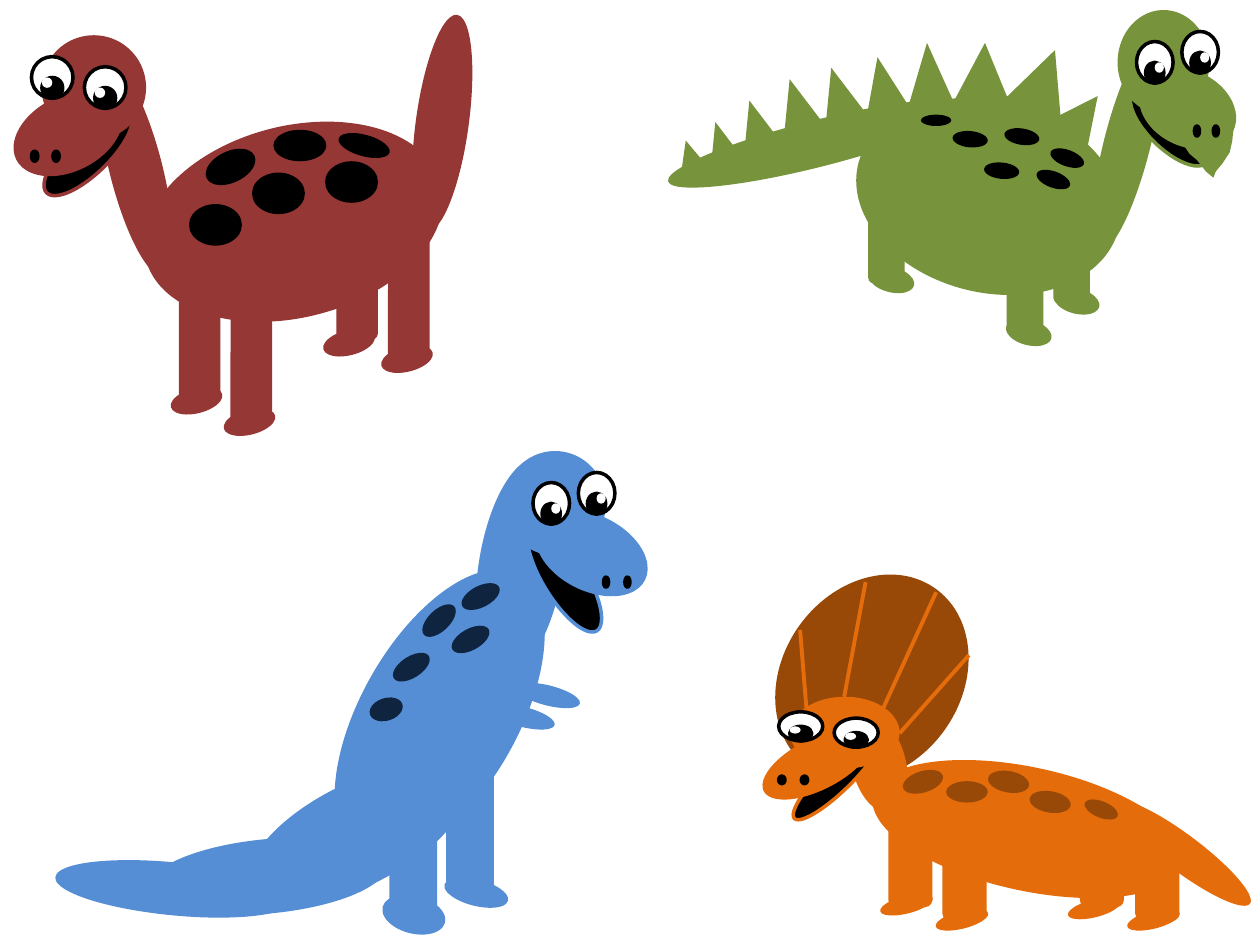
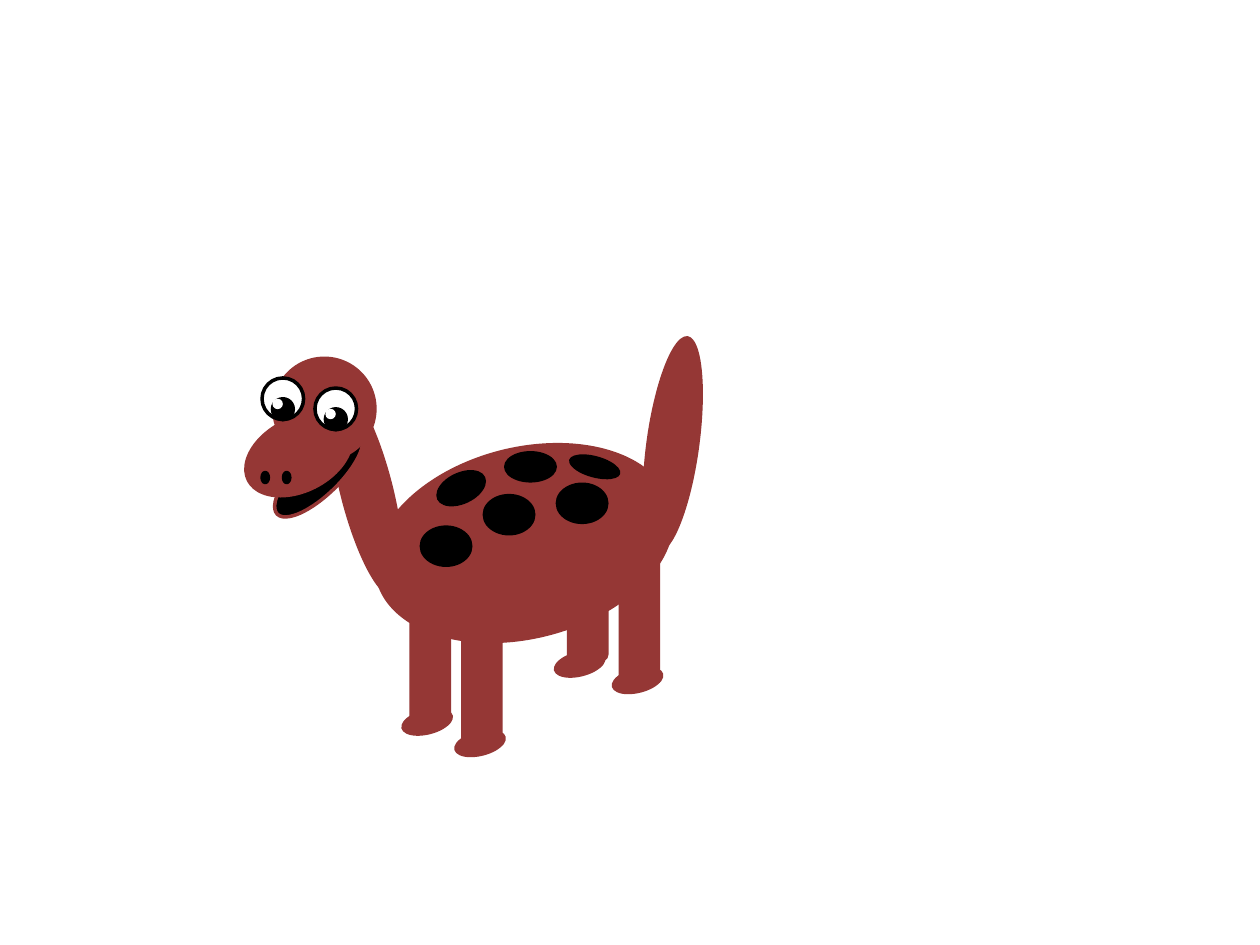
from dataclasses import dataclass
from typing import NamedTuple, Optional

from lxml import etree
from pptx import Presentation
from pptx.dml.color import RGBColor
from pptx.enum.shapes import MSO_CONNECTOR, MSO_SHAPE
from pptx.oxml.ns import qn
from pptx.util import Inches, Pt

ELLIPSE = MSO_SHAPE.OVAL
ROUNDED = MSO_SHAPE.ROUNDED_RECTANGLE
TRIANGLE = MSO_SHAPE.ISOSCELES_TRIANGLE
STRAIGHT = MSO_CONNECTOR.STRAIGHT


@dataclass(frozen=True)
class Theme:
    red: str = "953735"
    green: str = "77933C"
    blue: str = "558ED5"
    navy: str = "0F243E"
    orange: str = "E46C0A"
    brown: str = "984807"
    black: str = "000000"
    white: str = "FFFFFF"
    outline: float = 2
    rib: float = 2.25


THEME = Theme()


class Piece(NamedTuple):
    left: float
    top: float
    width: float
    height: float
    rotation: float = 0


class Rib(NamedTuple):
    start_x: float
    start_y: float
    end_x: float
    end_y: float


Point = tuple[float, float]


def same_size(width: float, height: float, rotation: float, *corners: Point) -> list[Piece]:
    return [Piece(left, top, width, height, rotation) for left, top in corners]


@dataclass(frozen=True)
class Dinosaur:
    skin: str
    spot_color: str
    faces_right: bool
    neck: Piece
    mouth: Piece
    skull: Piece
    snout: Piece
    eyes: list[Piece]
    nostrils: list[Piece]
    body: Piece
    legs: list[Piece]
    feet: list[Piece]
    tail: list[Piece]
    spots: list[Piece]
    arms: tuple[Piece, ...] = ()
    spikes: tuple[Piece, ...] = ()
    beak: tuple[Point, ...] = ()
    frill: Optional[Piece] = None
    ribs: tuple[Rib, ...] = ()


RED = Dinosaur(
    skin=THEME.red,
    spot_color=THEME.black,
    faces_right=False,
    neck=Piece(0.87, 0.48, 0.42, 1.73, 345.8),
    mouth=Piece(0.24, 1.04, 0.92, 0.34, 315.8),
    skull=Piece(0.33, 0.28, 0.83, 0.83),
    snout=Piece(0.08, 0.76, 0.92, 0.6, 333.2),
    eyes=same_size(0.33, 0.33, 0, (0.25, 0.45), (0.67, 0.53)),
    nostrils=same_size(0.05, 0.08, 0, (0.25, 1.2), (0.42, 1.2)),
    body=Piece(1.12, 1, 2.42, 1.52, 345.8),
    legs=same_size(0.33, 1, 0, (1.42, 2.2), (1.83, 2.37), (2.67, 1.7), (3.08, 1.87)),
    feet=same_size(0.42, 0.2, 345.8, (1.35, 3.08), (1.77, 3.25), (2.56, 2.62), (3.02, 2.75)),
    tail=[Piece(3.3, 0.11, 0.42, 1.73, 7.8)],
    spots=[
        *same_size(0.42, 0.33, 0, (1.5, 1.62), (2, 1.37), (2.58, 1.28)),
        Piece(2.17, 1.03, 0.42, 0.25),
        Piece(2.68, 1.07, 0.42, 0.17, 15.3),
        Piece(1.62, 1.2, 0.42, 0.25, 334.8),
    ],
)

GREEN = Dinosaur(
    skin=THEME.green,
    spot_color=THEME.black,
    faces_right=True,
    neck=Piece(8.76, 0.28, 0.37, 1.73, 14.2),
    mouth=Piece(8.88, 0.84, 0.81, 0.34, 44.2),
    skull=Piece(8.87, 0.08, 0.73, 0.83),
    snout=Piece(9.02, 0.56, 0.81, 0.6, 26.8),
    eyes=same_size(0.29, 0.33, 0, (9.38, 0.25), (9.02, 0.33)),
    nostrils=same_size(0.04, 0.08, 0, (9.63, 1), (9.48, 1)),
    body=Piece(6.78, 0.8, 2.13, 1.52, 14.2),
    legs=[
        Piece(8.36, 2, 0.29, 0.41),
        Piece(7.99, 2.17, 0.29, 0.49),
        Piece(6.89, 1.67, 0.29, 0.58),
    ],
    feet=same_size(0.37, 0.2, 14.2, (8.36, 2.29), (7.98, 2.54), (6.89, 2.12)),
    tail=[Piece(6.3, -0.08, 0.37, 2.44, 255.8)],
    spots=[
        *same_size(0.28, 0.13, 20, (8.33, 1.19), (8.22, 1.36)),
        Piece(7.97, 1.02, 0.28, 0.13, 8.9),
        Piece(7.56, 1.04, 0.28, 0.13, 5.2),
        Piece(7.81, 1.29, 0.28, 0.13, 5.6),
        Piece(7.31, 0.91, 0.24, 0.09),
    ],
    spikes=(
        Piece(5.36, 1.11, 0.24, 0.27, 344.1),
        *same_size(0.33, 0.42, 344.1, (5.57, 0.96), (5.84, 0.79), (6.16, 0.62), (6.49, 0.53)),
        Piece(6.84, 0.45, 0.33, 0.42, 348.9),
        Piece(7.19, 0.34, 0.37, 0.5, 356),
        Piece(7.57, 0.34, 0.47, 0.5, 2.9),
        Piece(8.01, 0.38, 0.53, 0.56, 20.5),
        Piece(8.38, 0.72, 0.41, 0.42, 37.3),
    ),
    beak=(
        (9.79, 1.02), (9.78, 1.12), (9.76, 1.21), (9.7, 1.3), (9.65, 1.36), (9.63, 1.41),
        (9.57, 1.36), (9.5, 1.27), (9.44, 1.22), (9.38, 1.13), (9.57, 1.09),
    ),
)

ORANGE = Dinosaur(
    skin=THEME.orange,
    spot_color=THEME.brown,
    faces_right=False,
    neck=Piece(6.76, 5.67, 0.43, 0.79, 345.8),
    mouth=Piece(6.17, 6.05, 0.95, 0.23, 315.8),
    skull=Piece(6.27, 5.53, 0.87, 0.57),
    snout=Piece(6.01, 5.86, 0.95, 0.41, 333.2),
    eyes=same_size(0.35, 0.23, 0, (6.18, 5.65), (6.62, 5.7)),
    nostrils=same_size(0.05, 0.06, 0, (6.18, 6.16), (6.36, 6.16)),
    body=Piece(6.9, 6.09, 2.52, 0.98, 12.2),
    legs=same_size(0.35, 0.69, 0, (7.05, 6.51), (7.48, 6.62), (8.57, 6.51), (9.01, 6.62)),
    feet=same_size(0.43, 0.14, 345.8, (6.98, 7.11), (7.42, 7.23), (8.47, 7.14), (8.94, 7.23)),
    tail=[Piece(9.24, 6.1, 0.29, 1.34, 126.9)],
    spots=[
        Piece(7.51, 6.2, 0.33, 0.17),
        Piece(7.84, 6.12, 0.33, 0.17, 10.3),
        Piece(8.17, 6.28, 0.33, 0.17, 9.5),
        Piece(8.6, 6.36, 0.28, 0.13, 22),
        Piece(7.16, 6.12, 0.33, 0.17, 342.6),
    ],
    frill=Piece(6.21, 4.51, 1.42, 1.74, 35.3),
    ribs=(
        Rib(7.14, 5.82, 7.69, 5.2),
        Rib(7.01, 5.62, 7.43, 4.7),
        Rib(6.7, 5.53, 6.87, 4.62),
        Rib(6.4, 5.62, 6.35, 5),
    ),
)

BLUE = Dinosaur(
    skin=THEME.blue,
    spot_color=THEME.navy,
    faces_right=True,
    neck=Piece(3.8, 3.63, 0.67, 1.73, 9.2),
    mouth=Piece(3.99, 4.42, 0.98, 0.34, 58.4),
    skull=Piece(4, 3.58, 0.81, 0.83),
    snout=Piece(4.22, 4.09, 0.95, 0.6, 26.8),
    eyes=same_size(0.29, 0.33, 0, (4.59, 3.75), (4.23, 3.83)),
    nostrils=same_size(0.04, 0.08, 0, (4.96, 4.58), (4.79, 4.58)),
    body=Piece(2.21, 5.05, 2.56, 1.25, 299.6),
    legs=[Piece(3.54, 5.92, 0.38, 1.17), Piece(3.09, 6.58, 0.38, 0.67)],
    feet=[Piece(3.52, 6.98, 0.52, 0.21, 14.2), Piece(3.03, 7.11, 0.51, 0.3, 14.2)],
    tail=[
        Piece(2.43, 5.68, 0.81, 1.89, 243.2),
        Piece(1.83, 6.01, 0.59, 1.89, 264.6),
        Piece(1.17, 6.11, 0.42, 1.89, 275.6),
    ],
    spots=[
        Piece(3.65, 4.65, 0.33, 0.17, 332.7),
        Piece(3.32, 4.84, 0.33, 0.17, 316.2),
        Piece(3.57, 4.99, 0.33, 0.17, 331),
        Piece(3.1, 5.21, 0.33, 0.17, 327.4),
        Piece(2.93, 5.54, 0.27, 0.18, 342.6),
    ],
    arms=tuple(same_size(0.52, 0.16, 14.2, (4.09, 5.44), (3.89, 5.61))),
)


class Painter:
    def __init__(self, slide, shift_x: float = 0, shift_y: float = 0) -> None:
        self.slide = slide
        self.shift_x = shift_x
        self.shift_y = shift_y

    def place(self, x: float, y: float) -> tuple[int, int]:
        return Inches(x + self.shift_x), Inches(y + self.shift_y)

    def style(self, shape, fill: str, line: Optional[str] = None) -> None:
        shape.shadow.inherit = False
        shape.fill.solid()
        shape.fill.fore_color.rgb = RGBColor.from_string(fill)
        if line is None:
            shape.line.fill.background()
        else:
            shape.line.color.rgb = RGBColor.from_string(line)
            shape.line.width = Pt(THEME.outline)

    def piece(self, piece: Piece, fill: str, line: Optional[str] = None, kind=ELLIPSE) -> None:
        left, top = self.place(piece.left, piece.top)
        shape = self.slide.shapes.add_shape(kind, left, top, Inches(piece.width), Inches(piece.height))
        shape.rotation = piece.rotation
        self.style(shape, fill, line)

    def polygon(self, points: tuple[Point, ...], fill: str) -> None:
        corners = [self.place(x, y) for x, y in points]
        builder = self.slide.shapes.build_freeform(*corners[0])
        builder.add_line_segments(corners[1:], close=True)
        self.style(builder.convert_to_shape(), fill)

    def rib(self, rib: Rib, color: str) -> None:
        start, end = self.place(rib.start_x, rib.start_y), self.place(rib.end_x, rib.end_y)
        connector = self.slide.shapes.add_connector(STRAIGHT, *start, *end)
        connector.line.color.rgb = RGBColor.from_string(color)
        connector.line.width = Pt(THEME.rib)
        etree.SubElement(connector.element.spPr, qn("a:effectLst"))

    def eye(self, eye: Piece, faces_right: bool) -> None:
        left, top = eye.left + eye.width / 4, eye.top + eye.height / 2
        glint_left = left + eye.width / 4 if faces_right else left
        self.piece(eye, THEME.white, THEME.black)
        self.piece(Piece(left, top, eye.width / 2, eye.height / 2), THEME.black, THEME.black)
        self.piece(Piece(glint_left, top, eye.width / 4, eye.height / 4), THEME.white)

    def head(self, dinosaur: Dinosaur) -> None:
        self.piece(dinosaur.neck, dinosaur.skin)
        self.piece(dinosaur.mouth, THEME.black, dinosaur.skin)
        if dinosaur.beak:
            self.polygon(dinosaur.beak, dinosaur.skin)
        self.piece(dinosaur.skull, dinosaur.skin)
        self.piece(dinosaur.snout, dinosaur.skin)
        for eye in dinosaur.eyes:
            self.eye(eye, dinosaur.faces_right)
        for nostril in dinosaur.nostrils:
            self.piece(nostril, THEME.black, THEME.black)

    def dinosaur(self, dinosaur: Dinosaur) -> None:
        if dinosaur.frill:
            self.piece(dinosaur.frill, dinosaur.spot_color)
        self.head(dinosaur)
        self.piece(dinosaur.body, dinosaur.skin)
        for leg in dinosaur.legs:
            self.piece(leg, dinosaur.skin, kind=ROUNDED)
        for limb in (*dinosaur.feet, *dinosaur.arms, *dinosaur.tail):
            self.piece(limb, dinosaur.skin)
        for spike in dinosaur.spikes:
            self.piece(spike, dinosaur.skin, kind=TRIANGLE)
        for rib in dinosaur.ribs:
            self.rib(rib, dinosaur.skin)
        for spot in dinosaur.spots:
            self.piece(spot, dinosaur.spot_color)


def main() -> None:
    presentation = Presentation()
    presentation.slide_width, presentation.slide_height = Inches(10), Inches(7.5)
    blank = presentation.slide_layouts[6]
    herd = Painter(presentation.slides.add_slide(blank))
    for dinosaur in (RED, GREEN, ORANGE, BLUE):
        herd.dinosaur(dinosaur)
    Painter(presentation.slides.add_slide(blank), 1.83, 2.55).dinosaur(RED)
    presentation.save("out.pptx")


main()
